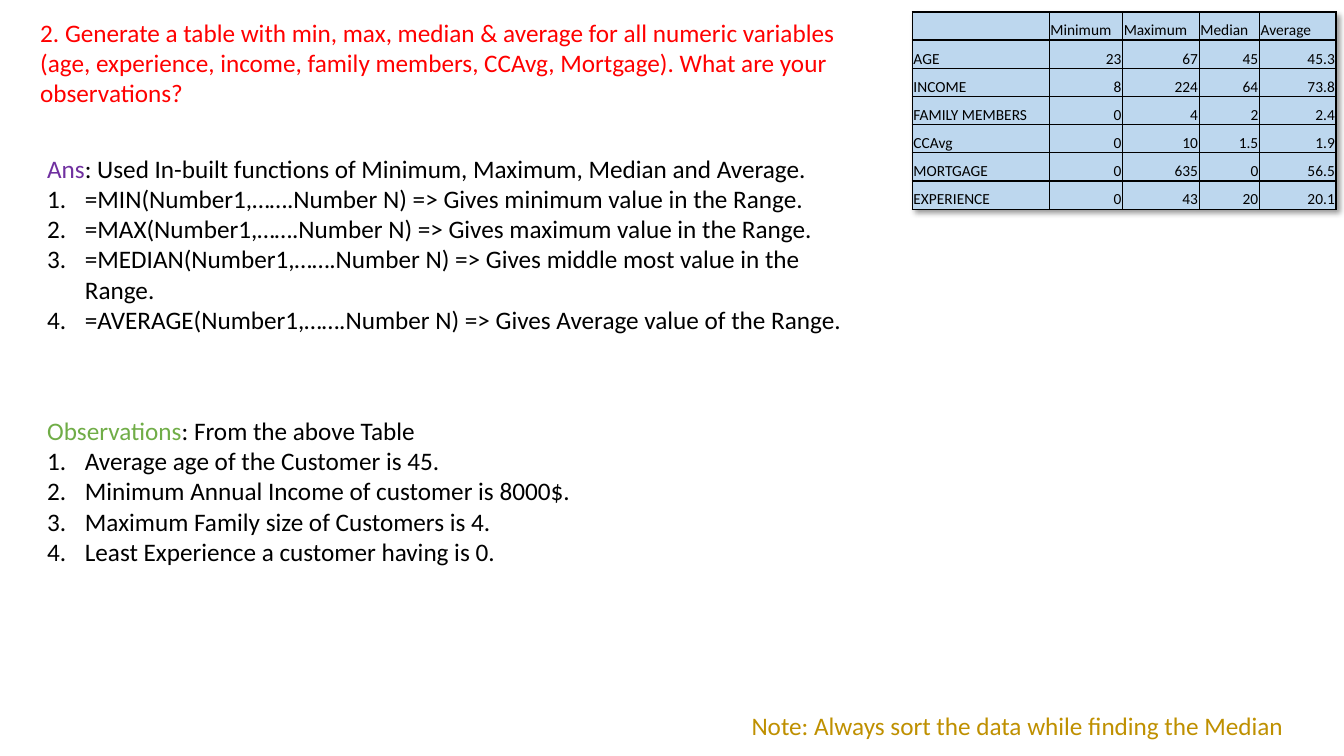
"""Build the slide on summary statistics of the numeric variables."""
from dataclasses import dataclass

from lxml.etree import SubElement
from pptx import Presentation
from pptx.dml.color import RGBColor
from pptx.enum.text import MSO_ANCHOR, PP_ALIGN
from pptx.oxml import parse_xml
from pptx.oxml.ns import qn
from pptx.util import Cm, Pt

FONT = "Calibri"
COLOURS = {
    "question": "FF0000",
    "answer": "7030A0",
    "observations": "70AD47",
    "note": "BF9000",
    "text": "000000",
    "cell": "BDD7EE",
}
DRAWING = "http://schemas.openxmlformats.org/drawingml/2006/main"
COLUMN_WIDTHS = (3.45, 1.85, 1.93, 1.52, 1.93)
ROW_HEIGHT = 0.71
STATISTICS = (
    ("", "Minimum", "Maximum", "Median", "Average"),
    ("AGE", "23", "67", "45", "45.3"),
    ("INCOME", "8", "224", "64", "73.8"),
    ("FAMILY MEMBERS", "0", "4", "2", "2.4"),
    ("CCAvg", "0", "10", "1.5", "1.9"),
    ("MORTGAGE", "0", "635", "0", "56.5"),
    ("EXPERIENCE", "0", "43", "20", "20.1"),
)


@dataclass(frozen=True)
class TextBlock:
    """A coloured lead, the rest of its line and a numbered list, placed in cm."""

    left: float
    top: float
    width: float
    height: float
    colour: str
    lead: str
    rest: str = ""
    items: tuple[str, ...] = ()


QUESTION = TextBlock(
    0.76, 0.3, 20.7, 2.57, "question",
    "2. Generate a table with min, max, median & average for all numeric variables "
    "(age, experience, income, family members, CCAvg, Mortgage). What are your observations?",
)
BLOCKS = (
    TextBlock(
        0.94, 3.73, 20.52, 6.4, "answer", "Ans",
        ": Used In-built functions of Minimum, Maximum, Median and Average.",
        (
            "=MIN(Number1,…….Number N) => Gives minimum value in the Range.",
            "=MAX(Number1,…….Number N) => Gives maximum value in the Range.",
            "=MEDIAN(Number1,…….Number N) => Gives middle most value in the Range.",
            "=AVERAGE(Number1,…….Number N) => Gives Average value of the Range.",
        ),
    ),
    TextBlock(
        0.94, 10.34, 32.11, 4.11, "observations", "Observations",
        ": From the above Table",
        (
            "Average age of the Customer is 45.",
            "Minimum Annual Income of customer is 8000$.",
            "Maximum Family size of Customers is 4.",
            "Least Experience a customer having is 0.",
        ),
    ),
    TextBlock(
        18.69, 17.78, 14.99, 1.02, "note",
        "Note: Always sort the data while finding the Median",
    ),
)


def colour_of(name: str) -> RGBColor:
    """Return the named colour."""
    return RGBColor.from_string(COLOURS[name])


def style_paragraph(paragraph, size: float, colour: str) -> None:
    """Set the font of a whole paragraph."""
    paragraph.font.name = FONT
    paragraph.font.size = Pt(size)
    paragraph.font.color.rgb = colour_of(colour)


def number_paragraph(paragraph) -> None:
    """Give a paragraph an automatic number and a hanging indent."""
    properties = paragraph._p.get_or_add_pPr()
    properties.set("marL", str(Cm(0.95)))
    properties.set("indent", str(-Cm(0.95)))
    numbering = parse_xml(f'<a:buAutoNum xmlns:a="{DRAWING}" type="arabicPeriod"/>')
    properties.insert(0, numbering)


def fill_block(box, block: TextBlock) -> None:
    """Place a text shape and write its block."""
    box.left, box.top = Cm(block.left), Cm(block.top)
    box.width, box.height = Cm(block.width), Cm(block.height)
    frame = box.text_frame
    frame.word_wrap = True
    frame.vertical_anchor = MSO_ANCHOR.TOP
    heading = frame.paragraphs[0]
    heading.alignment = PP_ALIGN.LEFT
    style_paragraph(heading, 18, "text" if block.rest else block.colour)
    span = heading.add_run()
    span.text = block.lead
    if block.rest:
        span.font.color.rgb = colour_of(block.colour)
        heading.add_run().text = block.rest
    for item in block.items:
        paragraph = frame.add_paragraph()
        paragraph.text = item
        style_paragraph(paragraph, 18, "text")
        number_paragraph(paragraph)


def border_cell(cell) -> None:
    """Draw a one point line on each side of a cell."""
    properties = cell._tc.get_or_add_tcPr()
    for position, side in enumerate(("lnL", "lnR", "lnT", "lnB")):
        line = parse_xml(f'<a:{side} xmlns:a="{DRAWING}" w="{Pt(1)}"/>')
        fill = SubElement(line, qn("a:solidFill"))
        SubElement(fill, qn("a:srgbClr"), val=COLOURS["text"])
        properties.insert(position, line)


def add_statistics(page) -> None:
    """Add the table of statistics with its soft shadow."""
    table = page.shapes.add_table(
        len(STATISTICS), len(COLUMN_WIDTHS), Cm(22.99), Cm(0.3),
        Cm(sum(COLUMN_WIDTHS)), Cm(ROW_HEIGHT * len(STATISTICS)),
    ).table
    table.first_row = table.horz_banding = False
    table._tbl.tblPr.insert(0, parse_xml(
        f'<a:effectLst xmlns:a="{DRAWING}"><a:outerShdw blurRad="50800" dist="38100" '
        'dir="2700000" algn="tl" rotWithShape="0"><a:prstClr val="black">'
        '<a:alpha val="40000"/></a:prstClr></a:outerShdw></a:effectLst>'
    ))
    for column, width in zip(table.columns, COLUMN_WIDTHS):
        column.width = Cm(width)
    for row_index, values in enumerate(STATISTICS):
        table.rows[row_index].height = Cm(ROW_HEIGHT)
        for column_index, value in enumerate(values):
            cell = table.cell(row_index, column_index)
            cell.text = value
            cell.vertical_anchor = MSO_ANCHOR.BOTTOM
            cell.margin_left = cell.margin_right = cell.margin_top = Cm(0.03)
            cell.margin_bottom = 0
            cell.fill.solid()
            cell.fill.fore_color.rgb = colour_of("cell")
            border_cell(cell)
            paragraph = cell.text_frame.paragraphs[0]
            style_paragraph(paragraph, 11, "text")
            if row_index and column_index:
                paragraph.alignment = PP_ALIGN.RIGHT


def main() -> None:
    """Build and save the deck."""
    deck = Presentation()
    deck.slide_width, deck.slide_height = Cm(33.87), Cm(19.05)
    page = deck.slides.add_slide(deck.slide_layouts[5])
    fill_block(page.shapes.title, QUESTION)
    for block in BLOCKS:
        fill_block(page.shapes.add_textbox(0, 0, 0, 0), block)
    add_statistics(page)
    deck.save("out.pptx")


if __name__ == "__main__":
    main()
